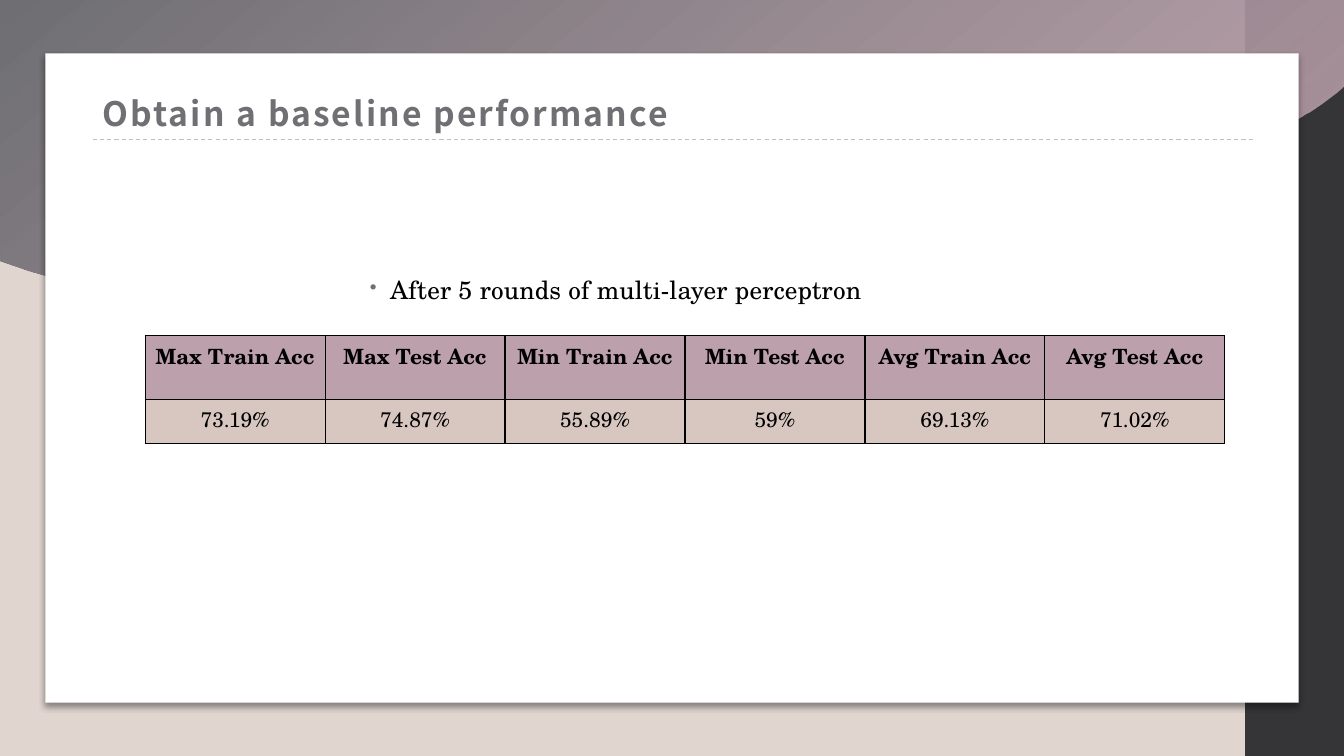
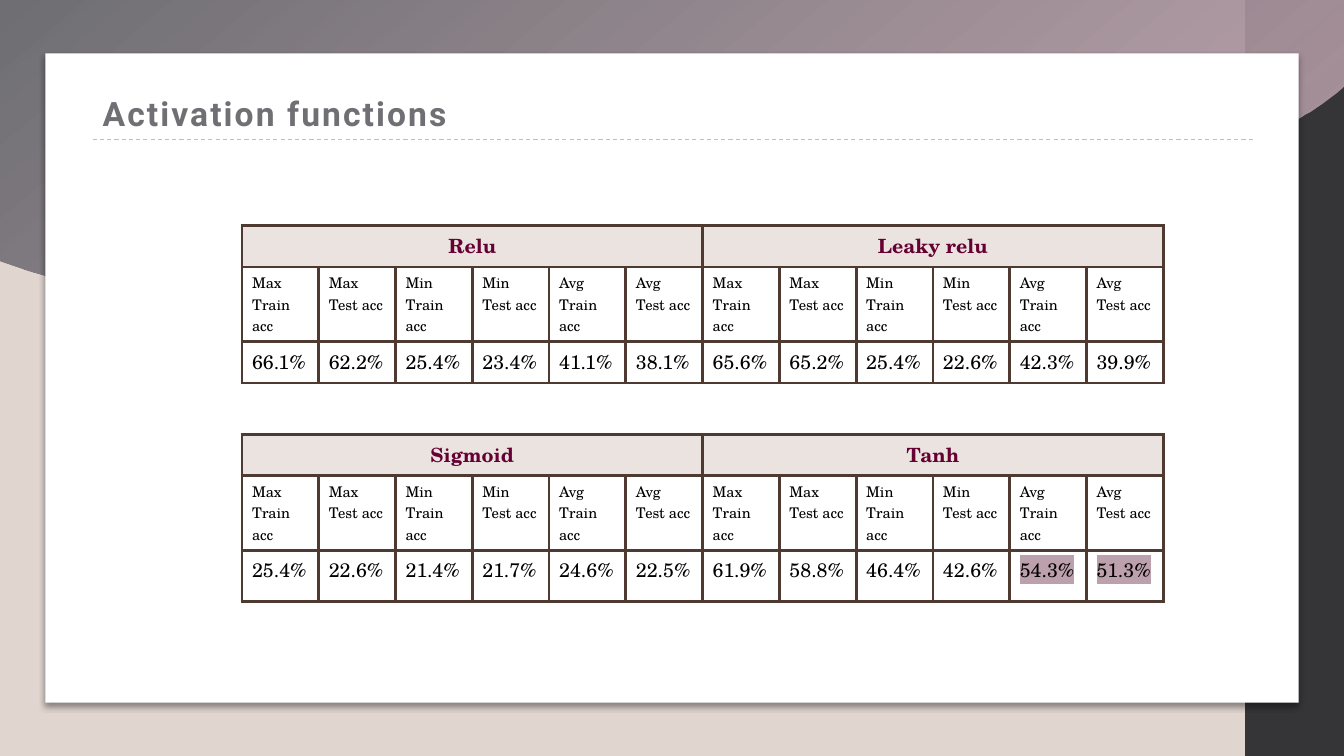
"""Build two slides on baseline and activation-function accuracy."""
from dataclasses import dataclass
from typing import Optional

from lxml.etree import SubElement
from pptx import Presentation
from pptx.dml.color import RGBColor
from pptx.enum.dml import MSO_LINE
from pptx.enum.shapes import MSO_CONNECTOR, MSO_SHAPE
from pptx.enum.text import MSO_ANCHOR, PP_ALIGN
from pptx.oxml.ns import qn
from pptx.oxml.xmlchemy import OxmlElement
from pptx.util import Inches, Pt


@dataclass(frozen=True)
class Theme:
    background: str = "E1D5D0"
    strip: str = "353537"
    gray: str = "6F6F74"
    mauve: str = "BCA0AB"
    white: str = "FFFFFF"
    black: str = "000000"
    rule: str = "C3BFB5"
    sand: str = "D7C7C0"
    pale: str = "EBE3E0"
    brown: str = "4E3A31"
    wine: str = "660033"
    serif: str = "TeX Gyre Schola"
    title_size: float = 24
    body_size: float = 18
    baseline_size: float = 15
    value_size: float = 14
    label_size: float = 10.5


THEME = Theme()


@dataclass(frozen=True)
class TextStyle:
    size: float
    color: str = THEME.black
    bold: bool = False
    font: str = THEME.serif
    spacing: float = 0


@dataclass(frozen=True)
class RowStyle:
    text: TextStyle
    fill: str = THEME.white
    align: Optional[PP_ALIGN] = None


@dataclass(frozen=True)
class Row:
    height: float
    style: RowStyle
    texts: tuple[str, ...]
    span: int = 1
    highlighted: tuple[int, ...] = ()


@dataclass(frozen=True)
class Grid:
    left: float
    top: float
    width: float
    columns: int
    rows: tuple[Row, ...]
    border: str
    border_points: float
    inset: tuple[float, float] = (0.1, 0.05)


BASELINE_HEADER = RowStyle(TextStyle(THEME.baseline_size, bold=True), THEME.mauve, PP_ALIGN.CENTER)
BASELINE_VALUE = RowStyle(TextStyle(THEME.baseline_size), THEME.sand, PP_ALIGN.CENTER)
FUNCTION_NAME = RowStyle(TextStyle(THEME.value_size, THEME.wine, True), THEME.pale, PP_ALIGN.CENTER)
METRIC_LABEL = RowStyle(TextStyle(THEME.label_size))
METRIC_VALUE = RowStyle(TextStyle(THEME.value_size))

BASELINE = Grid(1.44, 3.33, 10.71, 6, (
    Row(0.63, BASELINE_HEADER, ("Max Train Acc", "Max Test Acc", "Min Train Acc",
                                "Min Test Acc", "Avg Train Acc", "Avg Test Acc")),
    Row(0.44, BASELINE_VALUE, ("73.19%", "74.87%", "55.89%", "59%", "69.13%", "71.02%")),
), THEME.black, 1, (0.08, 0.04))

METRICS = ("Max Train acc", "Max\nTest acc", "Min Train acc",
           "Min Test acc", "Avg Train acc", "Avg Test acc")

WAVE_START = (0, 2.58)
WAVE_CURVES = (
    ((1.22, 3.04), (2.66, 3.11), (3.93, 2.74)),
    ((5.3, 2.35), (6.48, 1.51), (7.92, 1.36)),
    ((9.36, 1.21), (10.88, 1.8), (12.27, 1.42)),
    ((12.67, 1.31), (13.04, 1.11), (13.33, 0.85)),
)
CURVE_STEPS = 24


def rgb(color: str) -> RGBColor:
    """Convert a hex colour."""
    return RGBColor.from_string(color)


def style_paragraph(para, style: TextStyle, highlight: Optional[str] = None) -> None:
    """Format every run of a paragraph."""
    for span in para.runs:
        span.font.size = Pt(style.size)
        span.font.name = style.font
        span.font.bold = style.bold
        span.font.color.rgb = rgb(style.color)
        properties = span._r.get_or_add_rPr()
        if style.spacing:
            properties.set("spc", str(round(style.spacing * 100)))
        if highlight:
            marker = OxmlElement("a:highlight")
            SubElement(marker, qn("a:srgbClr"), val=highlight)
            properties.find(qn("a:solidFill")).addnext(marker)


def wave_points() -> list[tuple[int, int]]:
    """Sample the cubic curves along the lower edge of the wave."""
    points = [WAVE_START]
    for first, second, end in WAVE_CURVES:
        start = points[-1]
        for step in range(1, CURVE_STEPS + 1):
            t = step / CURVE_STEPS
            weights = ((1 - t) ** 3, 3 * t * (1 - t) ** 2, 3 * t ** 2 * (1 - t), t ** 3)
            corners = (start, first, second, end)
            points.append(tuple(sum(w * corner[axis] for w, corner in zip(weights, corners))
                                for axis in (0, 1)))
    return [(Inches(x), Inches(y)) for x, y in points]


def add_panel(page, left: float, top: float, width: float, height: float, color: str):
    """Add a plain rectangle without outline or shadow."""
    panel = page.shapes.add_shape(MSO_SHAPE.RECTANGLE, Inches(left), Inches(top),
                                  Inches(width), Inches(height))
    panel.fill.solid()
    panel.fill.fore_color.rgb = rgb(color)
    panel.line.fill.background()
    panel.shadow.inherit = False
    return panel


def add_wave(page):
    """Add the translucent gradient wave along the top."""
    builder = page.shapes.build_freeform(0, 0)
    builder.add_line_segments(wave_points() + [(Inches(13.33), 0)], close=True)
    wave = builder.convert_to_shape()
    wave.fill.gradient()
    wave.fill.gradient_angle = 310
    for stop, color in zip(wave.fill.gradient_stops, (THEME.gray, THEME.mauve)):
        stop.color.rgb = rgb(color)
    end_color = list(wave.element.spPr.iter(qn("a:srgbClr")))[-1]
    SubElement(end_color, qn("a:alpha"), val="90000")
    wave.line.fill.background()
    wave.shadow.inherit = False
    return wave


def add_card(page):
    """Add the white content card with its soft shadow."""
    card = add_panel(page, 0.45, 0.53, 12.43, 6.44, THEME.white)
    effects = card.element.spPr.find(qn("a:effectLst"))
    shadow = SubElement(effects, qn("a:outerShdw"), blurRad=str(Pt(4)), dist=str(Pt(3)),
                        dir="5400000", algn="t", rotWithShape="0")
    color = SubElement(shadow, qn("a:srgbClr"), val=THEME.black)
    SubElement(color, qn("a:alpha"), val="40000")
    return card


def add_title_rule(page):
    """Add the dashed line below the title."""
    rule = page.shapes.add_connector(MSO_CONNECTOR.STRAIGHT, Inches(0.92), Inches(1.38),
                                     Inches(12.43), Inches(1.38))
    rule.line.color.rgb = rgb(THEME.rule)
    rule.line.width = Pt(0.75)
    rule.line.dash_style = MSO_LINE.DASH
    SubElement(rule.element.spPr, qn("a:effectLst"))
    return rule


def furnish_layout(layout, page) -> None:
    """Put the shared backdrop on the layout, drawing it by way of a page."""
    layout.background.fill.solid()
    layout.background.fill.fore_color.rgb = rgb(THEME.background)
    for placeholder in list(layout.placeholders):
        placeholder.element.getparent().remove(placeholder.element)
    backdrop = (add_panel(page, 12.35, 0, 0.98, 7.5, THEME.strip),
                add_wave(page), add_card(page), add_title_rule(page))
    for shape in backdrop:
        layout.shapes.element.append(shape.element)


def add_text(page, left: float, top: float, width: float, text: str, style: TextStyle,
             line_spacing: float):
    """Add a wrapped one-paragraph text box."""
    box = page.shapes.add_textbox(Inches(left), Inches(top), Inches(width), Inches(0.64))
    box.text_frame.word_wrap = True
    box.text_frame.text = text
    para = box.text_frame.paragraphs[0]
    para.line_spacing = line_spacing
    style_paragraph(para, style)
    return box


def add_title(page, text: str, font: str) -> None:
    """Add the slide title."""
    style = TextStyle(THEME.title_size, THEME.gray, True, font, 1.5)
    box = add_text(page, 0.92, 0.74, 11.5, text, style, 0.9)
    box.text_frame.vertical_anchor = MSO_ANCHOR.BOTTOM


def add_bullet(page, text: str) -> None:
    """Add the bulleted statement above the baseline table."""
    style = TextStyle(THEME.body_size, spacing=0.1)
    para = add_text(page, 3.57, 2.69, 5.96, text, style, 0.95).text_frame.paragraphs[0]
    para.space_before, para.space_after = Pt(14), Pt(2)
    properties = para._p.get_or_add_pPr()
    properties.set("marL", str(Inches(0.2)))
    properties.set("indent", str(-Inches(0.2)))
    color = SubElement(properties, qn("a:buClr"))
    SubElement(color, qn("a:srgbClr"), val=THEME.gray)
    SubElement(properties, qn("a:buSzPct"), val="80000")
    SubElement(properties, qn("a:buChar"), char="•")


def format_cell(cell, grid: Grid, style: RowStyle) -> None:
    """Set the borders, fill and insets of a cell."""
    properties = cell._tc.get_or_add_tcPr()
    for side in ("L", "R", "T", "B"):
        line = SubElement(properties, qn(f"a:ln{side}"), w=str(Pt(grid.border_points)))
        fill = SubElement(line, qn("a:solidFill"))
        SubElement(fill, qn("a:srgbClr"), val=grid.border)
    cell.fill.solid()
    cell.fill.fore_color.rgb = rgb(style.fill)
    cell.margin_left = cell.margin_right = Inches(grid.inset[0])
    cell.margin_top = cell.margin_bottom = Inches(grid.inset[1])


def add_grid(page, grid: Grid) -> None:
    """Add a table with equal columns."""
    height = sum(row.height for row in grid.rows)
    table = page.shapes.add_table(len(grid.rows), grid.columns, Inches(grid.left),
                                  Inches(grid.top), Inches(grid.width), Inches(height)).table
    table.first_row = table.horz_banding = False
    for row_index, row in enumerate(grid.rows):
        table.rows[row_index].height = Inches(row.height)
        for column in range(grid.columns):
            format_cell(table.cell(row_index, column), grid, row.style)
        for index, text in enumerate(row.texts):
            column = index * row.span
            cell = table.cell(row_index, column)
            if row.span > 1:
                cell.merge(table.cell(row_index, column + row.span - 1))
            cell.text_frame.text = text
            for para in cell.text_frame.paragraphs:
                para.alignment = row.style.align
                style_paragraph(para, row.style.text,
                                THEME.mauve if index in row.highlighted else None)


def function_grid(top: float, names: tuple[str, str], values: tuple[str, ...],
                  value_height: float, highlighted: tuple[int, ...] = ()) -> Grid:
    """Describe the table comparing two activation functions."""
    return Grid(2.4, top, 9.14, 12, (
        Row(0.41, FUNCTION_NAME, names, span=len(METRICS)),
        Row(0.74, METRIC_LABEL, METRICS * 2),
        Row(value_height, METRIC_VALUE, values, highlighted=highlighted),
    ), THEME.brown, 2.25)


def main() -> None:
    """Build and save the deck."""
    deck = Presentation()
    deck.slide_width, deck.slide_height = Inches(13.33), Inches(7.5)
    layout = deck.slide_layouts[6]

    page = deck.slides.add_slide(layout)
    furnish_layout(layout, page)
    add_title(page, "Obtain a baseline performance", "Noto Sans CJK JP")
    add_bullet(page, "After 5 rounds of multi-layer perceptron")
    add_grid(page, BASELINE)

    page = deck.slides.add_slide(layout)
    add_title(page, "Activation functions", "Roboto")
    add_grid(page, function_grid(2.24, ("Relu", "Leaky relu"), (
        "66.1%", "62.2%", "25.4%", "23.4%", "41.1%", "38.1%",
        "65.6%", "65.2%", "25.4%", "22.6%", "42.3%", "39.9%"), 0.41))
    add_grid(page, function_grid(4.31, ("Sigmoid", "Tanh"), (
        "25.4%", "22.6%", "21.4%", "21.7%", "24.6%", "22.5%",
        "61.9%", "58.8%", "46.4%", "42.6%", "54.3%", "51.3%"), 0.51, (10, 11)))
    deck.save("out.pptx")


if __name__ == "__main__":
    main()
